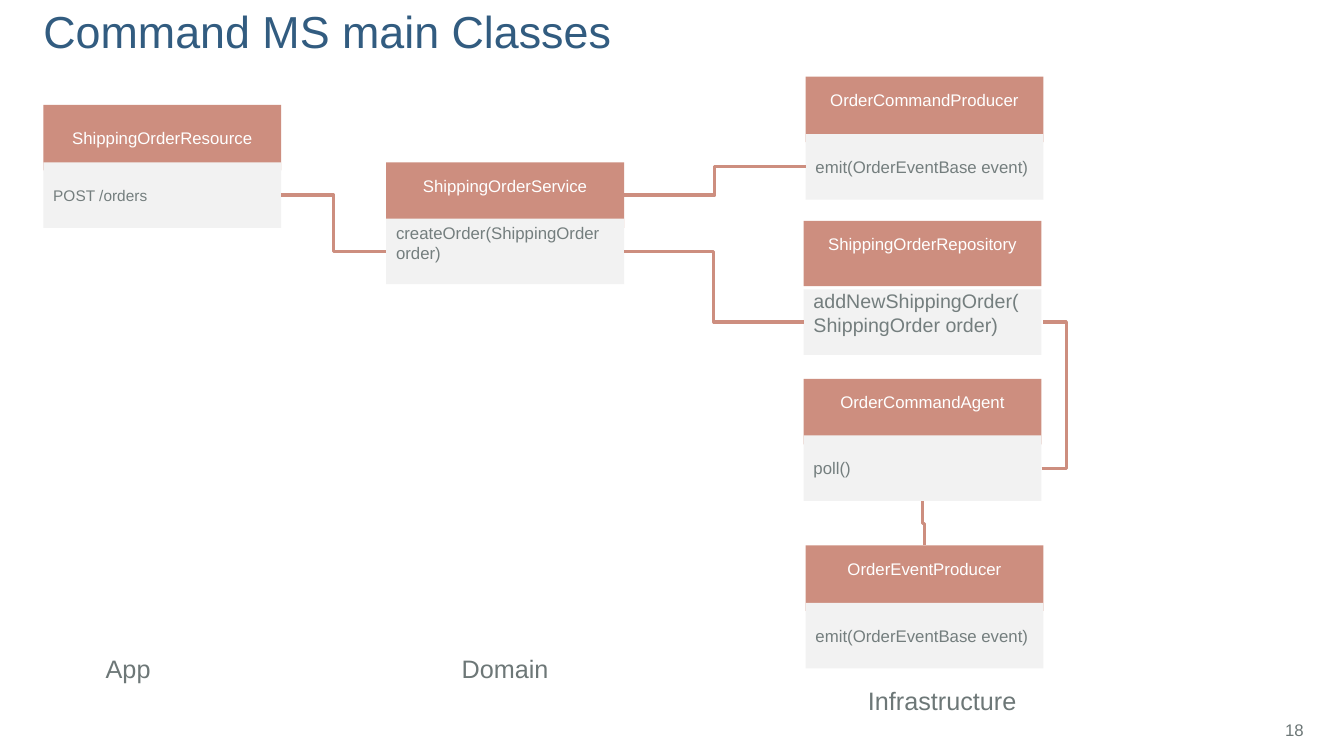
from lxml import etree
from pptx import Presentation
from pptx import util as u
from pptx.dml.color import RGBColor
from pptx.enum import shapes, text
from pptx.oxml.ns import qn

PX = 9144  # EMU per px, 100 px to the inch
COLORS = {
    "title": "325C80",
    "label": "6D7777",
    "member": "747E7E",
    "accent": "CD8E7F",
    "panel": "F2F2F2",
    "white": "FFFFFF",
}
FONT = "Arial"
BOX_W, BOX_H = 236, 65
TOP, LEFT, BOTTOM, RIGHT = range(4)  # connection sites of a rectangle
ALIGN = text.PP_ALIGN
ANCHOR = text.MSO_ANCHOR


def px(n):
    return u.Emu(n * PX)


def rgb(name):
    return RGBColor.from_string(COLORS[name])


def write(tf, words, size=12, color="member", align=ALIGN.LEFT,
          anchor=ANCHOR.MIDDLE, wrap=True, insets=(10, 5, 10, 5), spacing=None):
    """Fill a text frame; insets are left, top, right, bottom in px."""
    tf.word_wrap = wrap
    tf.auto_size = text.MSO_AUTO_SIZE.NONE
    tf.vertical_anchor = anchor
    tf.margin_left, tf.margin_top, tf.margin_right, tf.margin_bottom = map(px, insets)
    p = tf.paragraphs[0]
    p.alignment = align
    p.line_spacing = spacing
    r = p.add_run()
    r.text = words
    r.font.name = FONT
    r.font.size = u.Pt(size)
    r.font.color.rgb = rgb(color)


class ClassDiagram:
    def __init__(self, prs):
        self.s = prs.slides.add_slide(prs.slide_layouts[5])

    def title(self, words, x, y, w, h):
        sp = self.s.shapes.title
        sp.left, sp.top, sp.width, sp.height = map(px, (x, y, w, h))
        write(sp.text_frame, words, size=32, color="title",
              anchor=ANCHOR.BOTTOM, insets=(0, 5, 10, 0), spacing=0.85)

    def label(self, words, x, y, w, h=40, **fmt):
        sp = self.s.shapes.add_textbox(*map(px, (x, y, w, h)))
        write(sp.text_frame, words, **{"color": "label", **fmt})

    def panel(self, words, x, y, fill, top=None, **fmt):
        """Add a class compartment; top sets the text's distance from its upper edge."""
        sp = self.s.shapes.add_shape(
            shapes.MSO_SHAPE.RECTANGLE, px(x), px(y), px(BOX_W), px(BOX_H))
        sp.shadow.inherit = False
        sp.fill.solid()
        sp.fill.fore_color.rgb = rgb(fill)
        sp.line.fill.background()
        if top is not None:
            fmt.update(anchor=ANCHOR.TOP, insets=(10, top, 10, 0))
        write(sp.text_frame, words, **fmt)
        return sp

    def class_box(self, name, member, x, y, step=57, name_top=13,
                  member_top=None, size=12):
        head = self.panel(name, x, y, "accent", top=name_top,
                          color="white", align=ALIGN.CENTER)
        body = self.panel(member, x, y + step, "panel", top=member_top, size=size)
        return head, body

    def elbow(self, start, start_site, end, end_site):
        c = self.s.shapes.add_connector(shapes.MSO_CONNECTOR.ELBOW, 0, 0, 0, 0)
        c.begin_connect(start, start_site)
        c.end_connect(end, end_site)
        c.line.color.rgb = rgb("accent")
        c.line.width = u.Pt(2.25)
        etree.SubElement(c._element.spPr, qn("a:effectLst"))
        return c

    def loop(self, start, end, reach):
        """Join two right edges by a line that bulges out by reach px."""
        c = self.elbow(start, RIGHT, end, RIGHT)
        c.end_x = c.begin_x + px(1)
        av = c._element.spPr.prstGeom.get_or_add_avLst()
        etree.SubElement(av, qn("a:gd"), name="adj1", fmla=f"val {reach * 100000}")

    def rise(self, start, end):
        """Join a top edge to the bottom edge above it, slightly to its left."""
        c = self.elbow(start, TOP, end, BOTTOM)
        x, y, w, h = c.left, c.top, c.width, c.height
        c.left, c.top = x + (w - h) // 2, y + (h - w) // 2
        c.width, c.height = h, w
        xfrm = c._element.spPr.xfrm
        xfrm.attrib.pop("flipH", None)
        xfrm.set("rot", "16200000")
        xfrm.set("flipV", "1")


def main():
    prs = Presentation()
    prs.slide_width, prs.slide_height = px(1333), px(750)
    d = ClassDiagram(prs)
    d.title("Command MS main Classes", 43, 7, 1191, 50)
    d.label("18", 1245, 704, 58, align=ALIGN.RIGHT)

    _, resource = d.class_box("ShippingOrderResource", "POST /orders", 43, 104,
                              name_top=None, size=11)
    service_head, service = d.class_box(
        "ShippingOrderService", "createOrder(ShippingOrder order)", 383, 161,
        step=56, member_top=4)
    _, command_producer = d.class_box(
        "OrderCommandProducer", "emit(OrderEventBase event)", 799, 76)
    _, repository = d.class_box(
        "ShippingOrderRepository", "addNewShippingOrder(ShippingOrder order)",
        797, 219, step=68, member_top=0, size=14)
    _, agent = d.class_box("OrderCommandAgent", "poll()", 797, 376, step=56)
    event_head, _ = d.class_box(
        "OrderEventProducer", "emit(OrderEventBase event)", 799, 541)

    d.elbow(resource, RIGHT, service, LEFT)
    d.elbow(service, RIGHT, repository, LEFT)
    d.elbow(service_head, RIGHT, command_producer, LEFT)
    d.loop(agent, repository, 25)
    d.rise(event_head, agent)

    for layer, x, y, w in (("App", 95, 643, 65), ("Domain", 448, 643, 107),
                           ("Infrastructure", 851, 675, 169)):
        d.label(layer, x, y, w, size=18, anchor=ANCHOR.TOP, wrap=False)
    prs.save("out.pptx")


if __name__ == "__main__":
    main()
